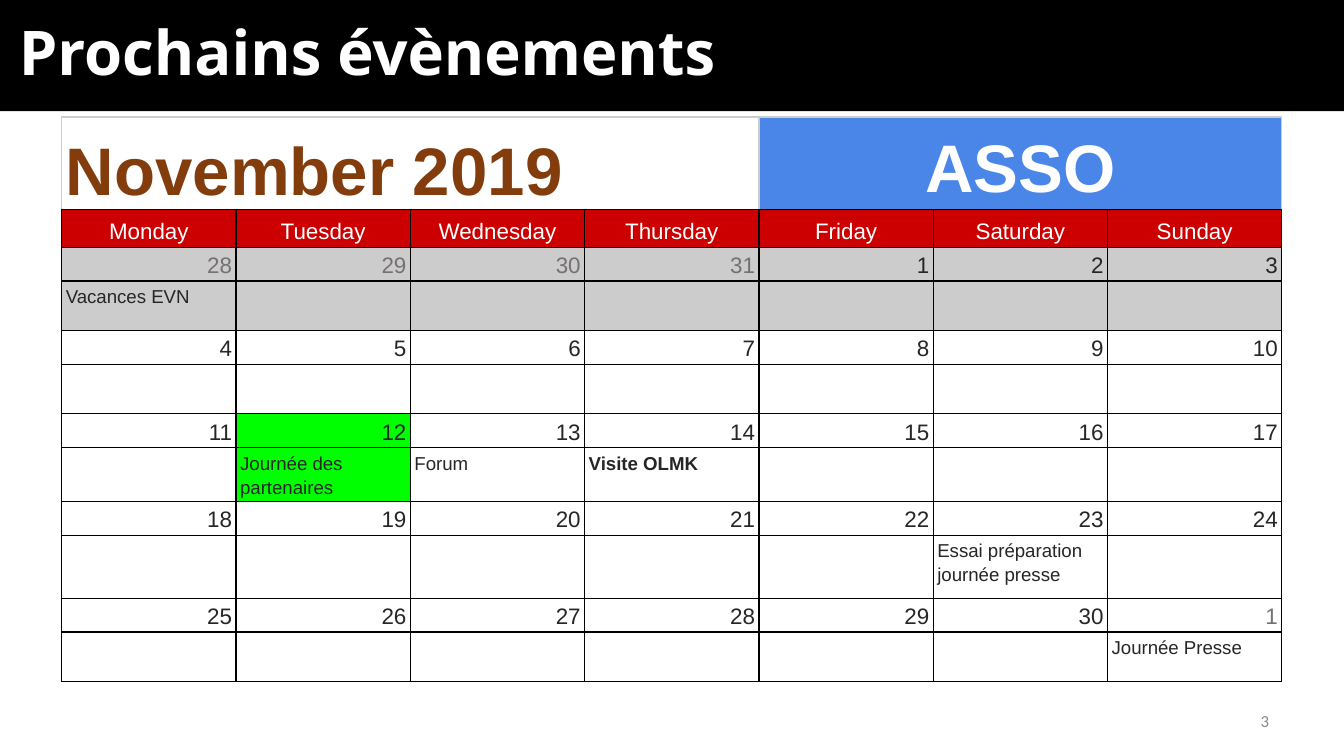
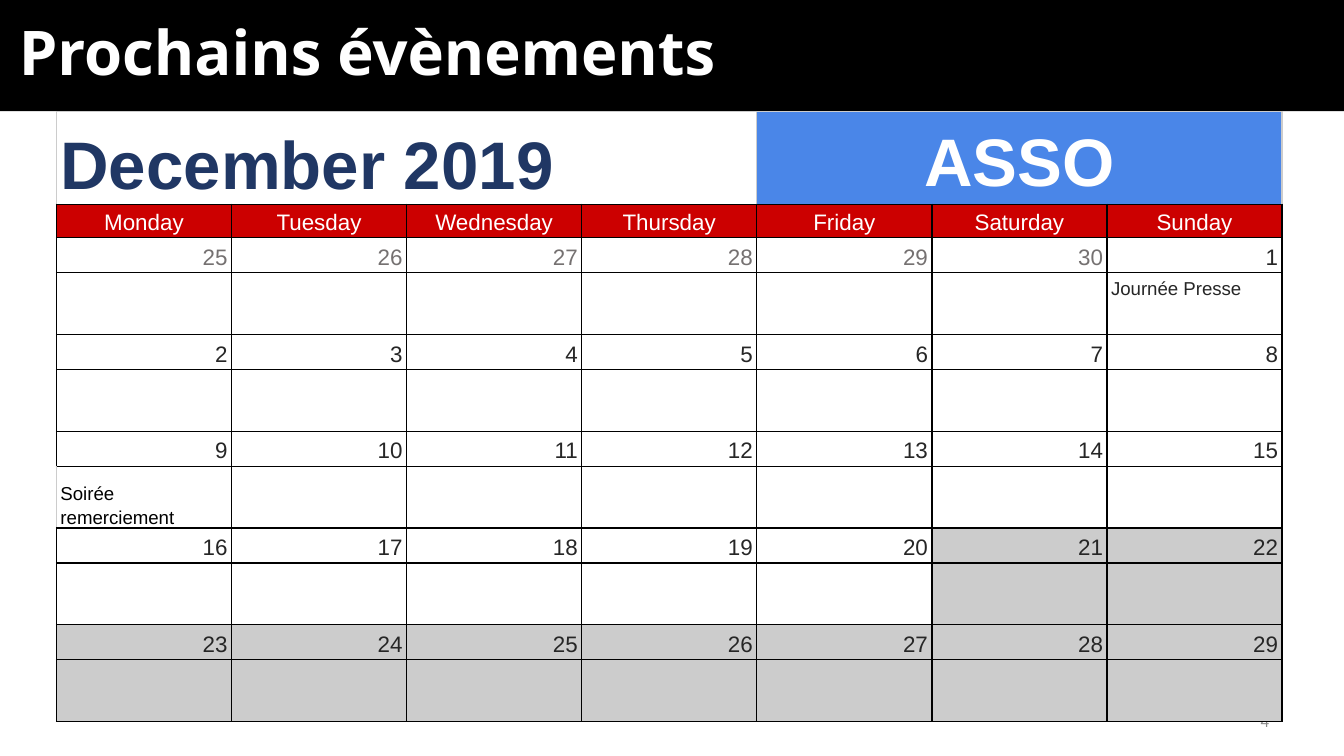
from dataclasses import dataclass, field

from lxml.etree import SubElement
from pptx import Presentation
from pptx.dml.color import RGBColor
from pptx.enum.shapes import MSO_SHAPE
from pptx.enum.text import MSO_ANCHOR, MSO_AUTO_SIZE, PP_ALIGN
from pptx.oxml.ns import qn
from pptx.util import Emu, Inches, Pt

# Shared look
BLACK, WHITE, INK, MUTED = "000000", "FFFFFF", "262626", "757171"
RED, BLUE, GREEN, GREY = "CC0000", "4A86E8", "00FF00", "CCCCCC"
PAGE_GREY = "888888"
TITLE_FONT, TABLE_FONT, PAGE_FONT = "Open Sans", "Arial", "Calibri"
TITLE = "Prochains évènements"
DAYS = ("Monday", "Tuesday", "Wednesday", "Thursday", "Friday", "Saturday", "Sunday")
WEEKS = 5
MONTH_SPAN = 4
WIDTH = Inches(10)
HEIGHT = WIDTH * 9 // 16

# Top and bottom cell margins
NAME_MARGINS, DATE_MARGINS, EVENT_MARGINS = (0, 0), (0, 0.02), (0.02, 0)


@dataclass(frozen=True)
class Event:
    text: str
    bold: bool = False
    color: str = INK
    anchor: MSO_ANCHOR = MSO_ANCHOR.TOP
    left_border: str = BLACK


@dataclass(frozen=True)
class Month:
    """A month grid; events, holidays and highlights use the cell's index."""
    name: str
    color: str
    page: int
    left: float
    top: float
    width: float
    first: int
    previous_length: int
    length: int
    head_rows: tuple[float, float]
    date_row: float
    event_rows: tuple[float, ...]
    holidays: range
    events: dict[int, Event]
    highlights: set[int] = field(default_factory=set)

    def day(self, index: int) -> tuple[int, bool]:
        """Return the day number and whether it belongs to this month."""
        n = self.first + index
        if n <= self.previous_length:
            return n, False
        n -= self.previous_length
        return (n, True) if n <= self.length else (n - self.length, False)

    def fill(self, index: int) -> str | None:
        if index in self.highlights:
            return GREEN
        return GREY if index in self.holidays else None


MONTHS = (
    Month("November 2019", "833C0C", 3, 0.46, 0.87, 9.08, 28, 31, 30,
          (0.69, 0.28), 0.25, (0.37, 0.37, 0.4, 0.47, 0.37), range(7),
          {0: Event("Vacances EVN"),
           15: Event("Journée des partenaires"),
           16: Event("Forum"),
           17: Event("Visite OLMK", bold=True),
           26: Event("Essai préparation journée presse"),
           34: Event("Journée Presse")},
          {15}),
    Month("December 2019", "203764", 4, 0.42, 0.83, 9.12, 25, 30, 31,
          (0.69, 0.25), 0.26, (0.46,) * WEEKS, range(26, 35),
          {6: Event("Journée Presse"),
           14: Event("Soirée remerciement", color=BLACK,
                     anchor=MSO_ANCHOR.BOTTOM, left_border=GREY)}),
)


def rgb(color: str) -> RGBColor:
    return RGBColor.from_string(color)


def box(x: float, y: float, w: float, h: float) -> tuple[Emu, ...]:
    """Turn shares of the slide into lengths."""
    return Emu(int(x * WIDTH)), Emu(int(y * HEIGHT)), Emu(int(w * WIDTH)), Emu(int(h * HEIGHT))


def style(p, font: str, size: float, color: str, bold: bool = False,
          align: PP_ALIGN = PP_ALIGN.LEFT, spacing: float = 1.0) -> None:
    p.alignment, p.line_spacing = align, spacing
    for r in p.runs:
        r.font.name, r.font.size, r.font.bold = font, Pt(size), bold
        r.font.color.rgb = rgb(color)


def set_borders(cell, left: str, top: str, right: str, bottom: str) -> None:
    tc_pr = cell._tc.get_or_add_tcPr()
    for side, color in zip("LRTB", (left, right, top, bottom)):
        ln = SubElement(tc_pr, qn(f"a:ln{side}"), w=str(Pt(0.75)))
        SubElement(SubElement(ln, qn("a:solidFill")), qn("a:srgbClr"), val=color)


def fill_cell(cell, text: str = "", fill: str | None = None, size: float = 12,
              color: str = INK, bold: bool = False, align: PP_ALIGN = PP_ALIGN.CENTER,
              anchor: MSO_ANCHOR = MSO_ANCHOR.BOTTOM,
              margins: tuple[float, float] = DATE_MARGINS,
              borders: tuple[str, str, str, str] = (BLACK,) * 4) -> None:
    cell.margin_left = cell.margin_right = Inches(0.03)
    cell.margin_top, cell.margin_bottom = map(Inches, margins)
    cell.vertical_anchor = anchor
    set_borders(cell, *borders)
    if fill:
        cell.fill.solid()
        cell.fill.fore_color.rgb = rgb(fill)
    else:
        cell.fill.background()
    p = cell.text_frame.paragraphs[0]
    if text:
        p.text = text
        style(p, TABLE_FONT, size, color, bold, align, 1.15)
    else:
        # Keeps empty rows from growing
        SubElement(p._p, qn("a:endParaRPr"), sz=str(size * 100))


def add_band(layout, s) -> None:
    """Place the black title band on the layout, behind its placeholders."""
    sp = s.shapes.add_shape(MSO_SHAPE.RECTANGLE, *box(0, 0, 1, 0.147))
    sp.shadow.inherit = False
    sp.fill.solid()
    sp.fill.fore_color.rgb = rgb(BLACK)
    sp.line.fill.background()
    layout.shapes._spTree.insert(2, sp._element)


def add_title(s) -> None:
    sp = s.shapes.title
    sp.left, sp.top, sp.width, sp.height = box(0.004, 0.016, 0.979, 0.114)
    tf = sp.text_frame
    tf.text = TITLE
    tf.auto_size = MSO_AUTO_SIZE.NONE
    tf.vertical_anchor = MSO_ANCHOR.MIDDLE
    style(tf.paragraphs[0], TITLE_FONT, 33, WHITE, bold=True, spacing=0.9)


def add_page_number(s, page: int) -> None:
    tf = s.shapes.add_textbox(*box(0.729, 0.927, 0.225, 0.053)).text_frame
    tf.word_wrap = True
    tf.vertical_anchor = MSO_ANCHOR.MIDDLE
    tf.text = str(page)
    style(tf.paragraphs[0], PAGE_FONT, 9, PAGE_GREY, align=PP_ALIGN.RIGHT)


def add_calendar(s, month: Month) -> None:
    heights = [*month.head_rows]
    for h in month.event_rows:
        heights += [month.date_row, h]
    table = s.shapes.add_table(len(heights), len(DAYS), Inches(month.left), Inches(month.top),
                               Inches(month.width), Inches(sum(heights))).table
    table.first_row = table.horz_banding = False
    for col in table.columns:
        col.width = Inches(month.width / len(DAYS))
    for row, h in zip(table.rows, heights):
        row.height = Inches(h)

    # Month name, association name and weekdays
    heads = {0: dict(text=month.name, color=month.color, align=PP_ALIGN.LEFT),
             MONTH_SPAN: dict(text="ASSO", color=WHITE, anchor=MSO_ANCHOR.MIDDLE)}
    for c, day in enumerate(DAYS):
        fill_cell(table.cell(0, c), fill=BLUE if c >= MONTH_SPAN else None, size=36,
                  bold=True, margins=NAME_MARGINS, borders=(GREY, GREY, GREY, BLACK),
                  **heads.get(c, {}))
        fill_cell(table.cell(1, c), day, RED, color=WHITE)
    table.cell(0, 0).merge(table.cell(0, MONTH_SPAN - 1))
    table.cell(0, MONTH_SPAN).merge(table.cell(0, len(DAYS) - 1))

    # Dates, each with its event cell below
    for i in range(WEEKS * len(DAYS)):
        week, c = divmod(i, len(DAYS))
        r = 2 + 2 * week
        number, current = month.day(i)
        fill_cell(table.cell(r, c), str(number), month.fill(i),
                  color=INK if current else MUTED, align=PP_ALIGN.RIGHT)
        event = month.events.get(i, Event(""))
        fill_cell(table.cell(r + 1, c), event.text, month.fill(i), 10, event.color,
                  event.bold, PP_ALIGN.LEFT, event.anchor, EVENT_MARGINS,
                  (event.left_border, BLACK, BLACK, BLACK))


def main() -> None:
    prs = Presentation()
    prs.slide_width, prs.slide_height = WIDTH, HEIGHT
    layout = prs.slide_layouts[5]
    for i, month in enumerate(MONTHS):
        s = prs.slides.add_slide(layout)
        if i == 0:
            add_band(layout, s)
        add_title(s)
        add_page_number(s, month.page)
        add_calendar(s, month)
    prs.save("out.pptx")


if __name__ == "__main__":
    main()
